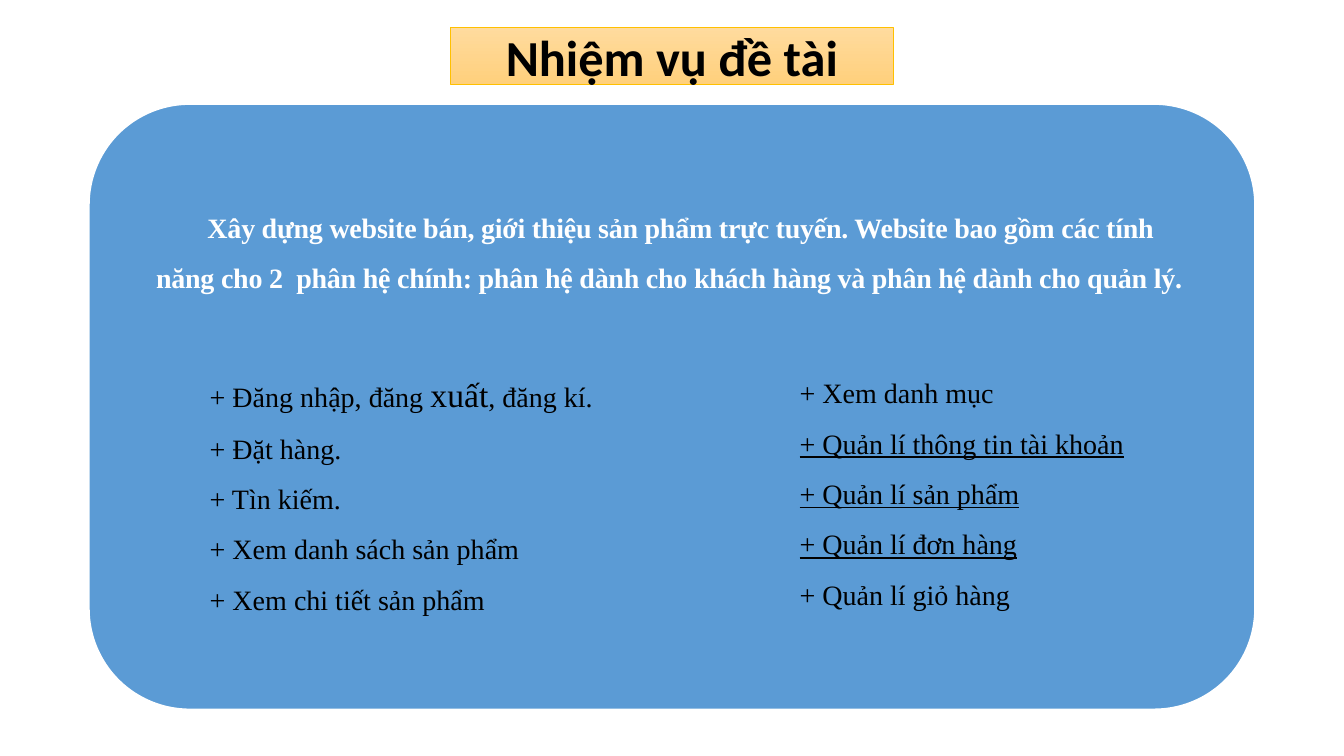
from pptx import Presentation
from pptx.dml.color import RGBColor
from pptx.enum.shapes import MSO_SHAPE
from pptx.enum.text import MSO_ANCHOR, MSO_AUTO_SIZE, PP_ALIGN
from pptx.oxml.ns import qn
from pptx.util import Inches, Pt

BLACK = RGBColor(0x00, 0x00, 0x00)
WHITE = RGBColor(0xFF, 0xFF, 0xFF)
BLUE = RGBColor(0x5B, 0x9B, 0xD5)
GOLD = RGBColor(0xFF, 0xC0, 0x00)
PEACH_TOP = RGBColor(0xFF, 0xDB, 0x9E)
PEACH_BOTTOM = RGBColor(0xFF, 0xD0, 0x7C)

INTRO = (
    "Xây dựng website bán, giới thiệu sản phẩm trực tuyến. Website bao gồm các "
    "tính năng cho 2  phân hệ chính: phân hệ dành cho khách hàng và phân hệ "
    "dành cho quản lý."
)
CUSTOMER_FEATURES = [
    "+ Đăng nhập, đăng ",
    "+ Đặt hàng.",
    "+ Tìn kiếm.",
    "+ Xem danh sách sản phẩm",
    "+ Xem chi tiết sản phẩm",
]
MANAGER_FEATURES = [
    "+ Xem danh mục",
    "+ Quản lí thông tin tài khoản",
    "+ Quản lí sản phẩm",
    "+ Quản lí đơn hàng",
    "+ Quản lí giỏ hàng",
]


class TaskSlide:
    heading_font = "Calibri"
    body_font = "Times New Roman"
    body_size = Pt(20)

    def __init__(self, slide):
        self.slide = slide

    def place(self, shape, left, top, width, height):
        shape.left, shape.top = Inches(left), Inches(top)
        shape.width, shape.height = Inches(width), Inches(height)

    def style(self, paragraph, color, margin, indent):
        """Apply the body font, the 1.5 line spacing and a first-line indent."""
        paragraph.line_spacing = 1.5
        paragraph.font.name = self.body_font
        paragraph.font.size = self.body_size
        paragraph.font.color.rgb = color
        properties = paragraph._p.get_or_add_pPr()
        properties.set("marL", str(Inches(margin)))
        properties.set("indent", str(Inches(indent)))

    def title(self, text, *box):
        title = self.slide.shapes.title
        self.place(title, *box)
        title.fill.gradient()
        title.fill.gradient_angle = 270
        for stop, color in zip(title.fill.gradient_stops, (PEACH_TOP, PEACH_BOTTOM)):
            stop.color.rgb = color
        title.line.color.rgb = GOLD
        title.line.width = Pt(0.5)
        frame = title.text_frame
        frame.text = text
        frame.auto_size = MSO_AUTO_SIZE.NONE
        frame.vertical_anchor = MSO_ANCHOR.MIDDLE
        paragraph = frame.paragraphs[0]
        paragraph.alignment = PP_ALIGN.CENTER
        paragraph.font.name = self.heading_font
        paragraph.font.size = Pt(36)
        paragraph.font.bold = True
        paragraph.font.color.rgb = BLACK

    def panel(self, *box):
        """Draw the rounded panel just above the title, behind the lists."""
        panel = self.slide.shapes.add_shape(
            MSO_SHAPE.ROUNDED_RECTANGLE, *map(Inches, box)
        )
        panel.shadow.inherit = False
        panel.fill.solid()
        panel.fill.fore_color.rgb = BLUE
        panel.line.color.rgb = WHITE
        panel.line.width = Pt(1.5)
        self.slide.shapes.title.element.addnext(panel.element)

    def feature_list(self, index, items, *box):
        placeholder = self.slide.placeholders[index]
        self.place(placeholder, *box)
        frame = placeholder.text_frame
        frame.text = "\n".join(items)
        frame.auto_size = MSO_AUTO_SIZE.SHAPE_TO_FIT_TEXT
        frame.vertical_anchor = MSO_ANCHOR.TOP
        for paragraph in frame.paragraphs:
            paragraph.alignment = PP_ALIGN.JUSTIFY
            paragraph.space_before = Pt(0)
            self.style(paragraph, BLACK, 0, 0.5)
            properties = paragraph._p.get_or_add_pPr()
            bullet = properties.makeelement(qn("a:buNone"), {})
            properties.find(qn("a:defRPr")).addprevious(bullet)
        return frame.paragraphs

    def intro(self, text, *box):
        frame = self.slide.shapes.add_textbox(*map(Inches, box)).text_frame
        frame.word_wrap = True
        frame.auto_size = MSO_AUTO_SIZE.SHAPE_TO_FIT_TEXT
        frame.text = text
        paragraph = frame.paragraphs[0]
        paragraph.space_before = Pt(0.2)
        self.style(paragraph, WHITE, 0.08, 0.51)
        paragraph.font.bold = True
        paragraph.runs[0]._r.get_or_add_rPr().set("spc", "-20")


def main():
    presentation = Presentation()
    presentation.slide_width = Inches(13.33)
    presentation.slide_height = Inches(7.5)
    two_content = presentation.slide_layouts[3]
    page = TaskSlide(presentation.slides.add_slide(two_content))

    page.title("Nhiệm vụ đề tài", 4.47, 0.27, 4.39, 0.57)
    page.panel(0.88, 1.03, 11.57, 6.01)

    customer = page.feature_list(1, CUSTOMER_FEATURES, 1.48, 3.46, 6.98, 2.67)
    log_out = customer[0].add_run()
    log_out.text = "xuất"
    log_out.font.size = Pt(24)
    customer[0].add_run().text = ", đăng kí."

    manager = page.feature_list(2, MANAGER_FEATURES, 7.33, 3.51, 4.12, 2.57)
    for paragraph in manager[1:4]:
        paragraph.font.underline = True

    page.intro(INTRO, 1.37, 1.87, 10.6, 1.05)
    presentation.save("out.pptx")


if __name__ == "__main__":
    main()
